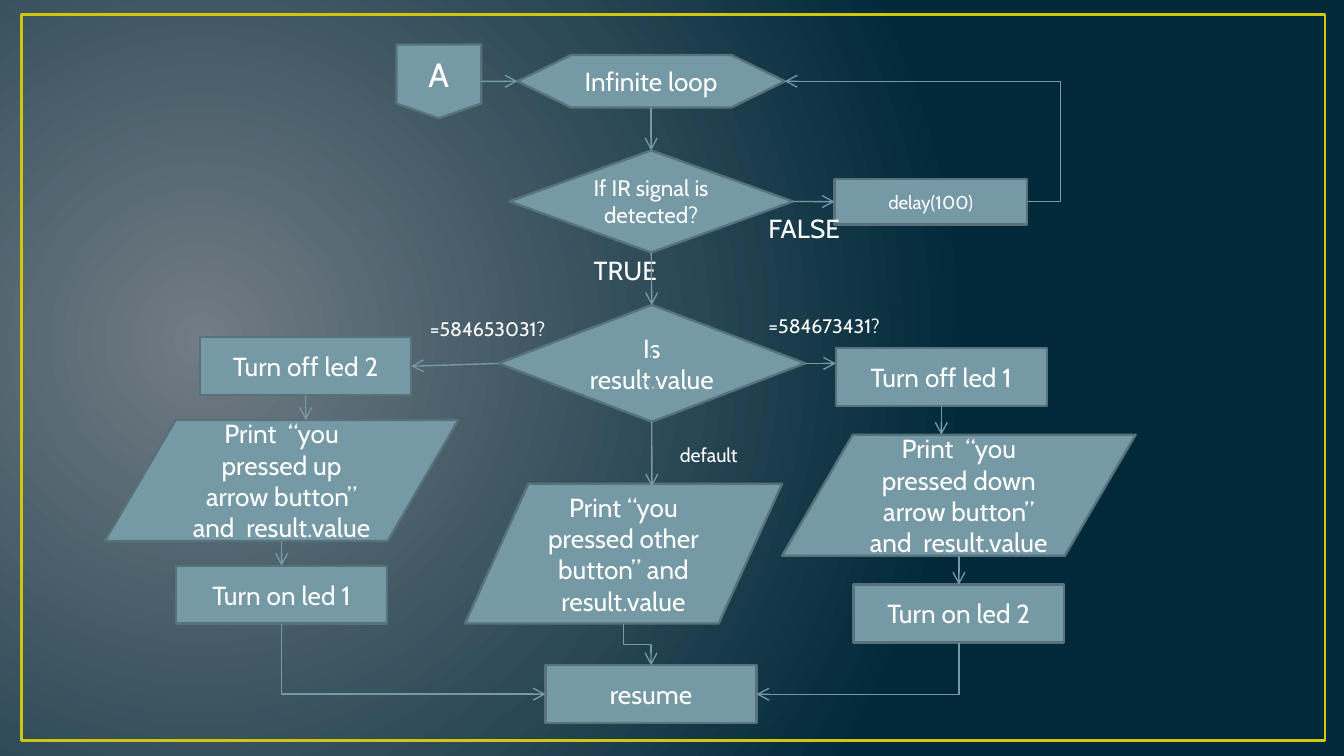
import lxml.etree
import pptx
import pptx.dml.color
import pptx.enum.shapes
import pptx.enum.text
import pptx.oxml.ns
import pptx.util

Pt = pptx.util.Pt
qn = pptx.oxml.ns.qn
SHAPES = pptx.enum.shapes.MSO_SHAPE
CONNECTORS = pptx.enum.shapes.MSO_CONNECTOR
TOP, LEFT, BOTTOM, RIGHT = range(4)
STEP_WIDTH, STEP_HEIGHT = 113, 31
PRINT_HEIGHT = 64.8


def colour(value):
    return pptx.dml.color.RGBColor.from_string(value)


def set_values(target, values):
    for name, value in values.items():
        setattr(target, name, value)


def write(shape, text, size, frame_values, alignment):
    set_values(shape.text_frame, frame_values)
    para = shape.text_frame.paragraphs[0]
    para.alignment = alignment
    span = para.add_run()
    span.text = text
    set_values(span.font, {"name": "Cabin", "size": Pt(size)})
    span.font.color.rgb = colour("FFFFFF")


def add_node(page, kind, box, text, size=14):
    node = page.shapes.add_shape(kind, *map(Pt, box))
    node.shadow.inherit = False
    node.fill.solid()
    node.fill.fore_color.rgb = colour("759AA5")
    node.line.color.rgb = colour("57727A")
    node.line.width = Pt(1.25)
    values = {"word_wrap": True, "vertical_anchor": pptx.enum.text.MSO_ANCHOR.MIDDLE}
    write(node, text, size, values, pptx.enum.text.PP_ALIGN.CENTER)
    return node


def add_step(page, left, top, text):
    return add_node(page, SHAPES.RECTANGLE, (left, top, STEP_WIDTH, STEP_HEIGHT), text)


def add_label(page, box, text, size):
    label = page.shapes.add_textbox(*map(Pt, box))
    values = {"word_wrap": True, "auto_size": pptx.enum.text.MSO_AUTO_SIZE.SHAPE_TO_FIT_TEXT}
    write(label, text, size, values, pptx.enum.text.PP_ALIGN.LEFT)


def add_arrow(page, start, end, kind=CONNECTORS.STRAIGHT):
    arrow = page.shapes.add_connector(kind, *map(Pt, (*start, *end)))
    arrow.line.color.rgb = colour("759AA5")
    arrow.line.width = Pt(0.75)
    outline = arrow.element.spPr.find(qn("a:ln"))
    lxml.etree.SubElement(outline, qn("a:tailEnd"), type="arrow")
    lxml.etree.SubElement(arrow.element.spPr, qn("a:effectLst"))
    return arrow


def middle(node, side):
    across = {LEFT: 0, RIGHT: 1}.get(side, 0.5)
    down = {TOP: 0, BOTTOM: 1}.get(side, 0.5)
    return (node.left + across * node.width) / 12700, (node.top + down * node.height) / 12700


def join(page, start, start_side, end, end_side):
    arrow = add_arrow(page, middle(start, start_side), middle(end, end_side))
    arrow.begin_connect(start, start_side)
    arrow.end_connect(end, end_side)


def add_drop_elbow(page, start, end, preset="bentConnector2"):
    across, down = abs(end[0] - start[0]), end[1] - start[1]
    centre_x, centre_y = (start[0] + end[0]) / 2, (start[1] + end[1]) / 2
    goes_right = end[0] > start[0]
    half = -down / 2 if goes_right else down / 2
    arrow = add_arrow(
        page,
        (centre_x - half, centre_y - across / 2),
        (centre_x + half, centre_y + across / 2),
        CONNECTORS.ELBOW,
    )
    properties = arrow.element.spPr
    properties.find(qn("a:xfrm")).set("rot", "16200000" if goes_right else "5400000")
    properties.find(qn("a:prstGeom")).set("prst", preset)


def paint_background(page):
    fill = page.background.fill
    fill.gradient()
    for stop, value, position in zip(fill.gradient_stops, ("717C84", "01293A"), (0, 1)):
        stop.color.rgb = colour(value)
        stop.position = position
    gradient = next(page.element.iter(qn("a:gradFill")))
    gradient.remove(gradient.find(qn("a:lin")))
    circle = lxml.etree.SubElement(gradient, qn("a:path"), path="circle")
    lxml.etree.SubElement(circle, qn("a:fillToRect"), l="15000", t="50000", r="85000", b="60000")


def add_frame(page, box):
    frame = page.shapes.add_shape(SHAPES.RECTANGLE, *map(Pt, box))
    frame.shadow.inherit = False
    frame.fill.background()
    frame.line.color.rgb = colour("CFC60D")
    frame.line.width = Pt(1.5)


def add_loop(page, box):
    left, top, width, height = box
    entry = add_node(page, SHAPES.FLOWCHART_OFFPAGE_CONNECTOR, (left, top, 45.4, 39.6), "A", 18)
    loop = add_node(page, SHAPES.FLOWCHART_PREPARATION,
                    (left + 64.8, top + 5.7, 143.3, 28.1), "Infinite loop")
    signal = add_node(page, SHAPES.DIAMOND, (left + 60.5, top + height - 54.7, 151.9, 54.7),
                      "If IR signal is detected?", 12)
    delay = add_node(page, SHAPES.RECTANGLE, (left + width - 103, top + 72, 103, 24.5),
                     "delay(100)", 10)
    add_label(page, (left + 98.6, top + 108.7, 82, 24.5), "TRUE", 14)
    add_label(page, (left + 192.2, top + 86.4, 82, 24.5), "FALSE", 14)
    join(page, entry, RIGHT, loop, LEFT)
    join(page, loop, BOTTOM, signal, TOP)
    join(page, signal, RIGHT, delay, LEFT)
    back = add_arrow(page, middle(delay, RIGHT), middle(loop, RIGHT), CONNECTORS.ELBOW)
    adjustments = back.element.spPr.find(qn("a:prstGeom")).find(qn("a:avLst"))
    lxml.etree.SubElement(adjustments, qn("a:gd"), name="adj1", fmla="val -13900")
    return signal


def add_branch(page, box, off_shift, texts):
    left, top, width, height = box
    gap = (height - 2 * STEP_HEIGHT - PRINT_HEIGHT) / 2
    print_top = top + STEP_HEIGHT + gap
    off = add_step(page, left + off_shift, top, texts[0])
    output = add_node(page, SHAPES.FLOWCHART_DATA, (left, print_top, width, PRINT_HEIGHT), texts[1])
    on = add_step(page, left + (width - STEP_WIDTH) / 2, top + height - STEP_HEIGHT, texts[2])
    off_end = middle(off, BOTTOM)
    add_arrow(page, off_end, (off_end[0], print_top)).begin_connect(off, BOTTOM)
    add_arrow(page, middle(output, BOTTOM), middle(on, TOP)).end_connect(on, TOP)
    return off, on


def add_choice(page, box):
    left, top, width, height = box
    choice = add_node(page, SHAPES.FLOWCHART_DECISION, (left, top, width, 62.6), "Is result.value")
    other = add_node(page, SHAPES.FLOWCHART_DATA, (left - 18, top + height - 74.9, 169.9, 74.9),
                     "Print “you pressed other button” and result.value")
    for across, down, text in (
        (-43.9, 2.9, "=584653031?"),
        (137.5, 1.5, "=584673431?"),
        (90, 70.6, "default"),
    ):
        add_label(page, (left + across, top + down, 99.4, 20.2), text, 10.5)
    centre = left + width / 2
    add_arrow(page, (centre, top + 23), (centre, top + 47.6))
    add_arrow(page, middle(choice, BOTTOM), (centre, top + 97.2)).begin_connect(choice, BOTTOM)
    return choice, other


def main():
    deck = pptx.Presentation()
    deck.slide_width, deck.slide_height = Pt(720), Pt(405)
    page = deck.slides.add_slide(deck.slide_layouts[6])
    paint_background(page)
    add_frame(page, (11.5, 7.9, 698.4, 388.8))
    signal = add_loop(page, (212.4, 23.8, 337.7, 111.5))
    choice, other = add_choice(page, (267.1, 163.4, 164.2, 170.7))
    up_off, up_on = add_branch(page, (56.2, 180.7, 189.4, 153.4), 51.1, (
        "Turn off led 2", "Print  “you pressed up arrow button” and  result.value", "Turn on led 1"))
    down_off, down_on = add_branch(page, (419, 186.5, 189.4, 157.7), 28.8, (
        "Turn off led 1", "Print  “you pressed down arrow button” and  result.value", "Turn on led 2"))
    resume = add_step(page, 292.3, 356.4, "resume")

    join(page, signal, BOTTOM, choice, TOP)
    join(page, choice, LEFT, up_off, RIGHT)
    choice_end = middle(choice, RIGHT)
    add_arrow(page, choice_end, (middle(down_off, LEFT)[0], choice_end[1])).begin_connect(choice, RIGHT)
    add_drop_elbow(page, middle(up_on, BOTTOM), middle(resume, LEFT))
    add_drop_elbow(page, middle(other, BOTTOM), middle(resume, TOP), "bentConnector3")
    add_drop_elbow(page, middle(down_on, BOTTOM), middle(resume, RIGHT))
    deck.save("out.pptx")


if __name__ == "__main__":
    main()
